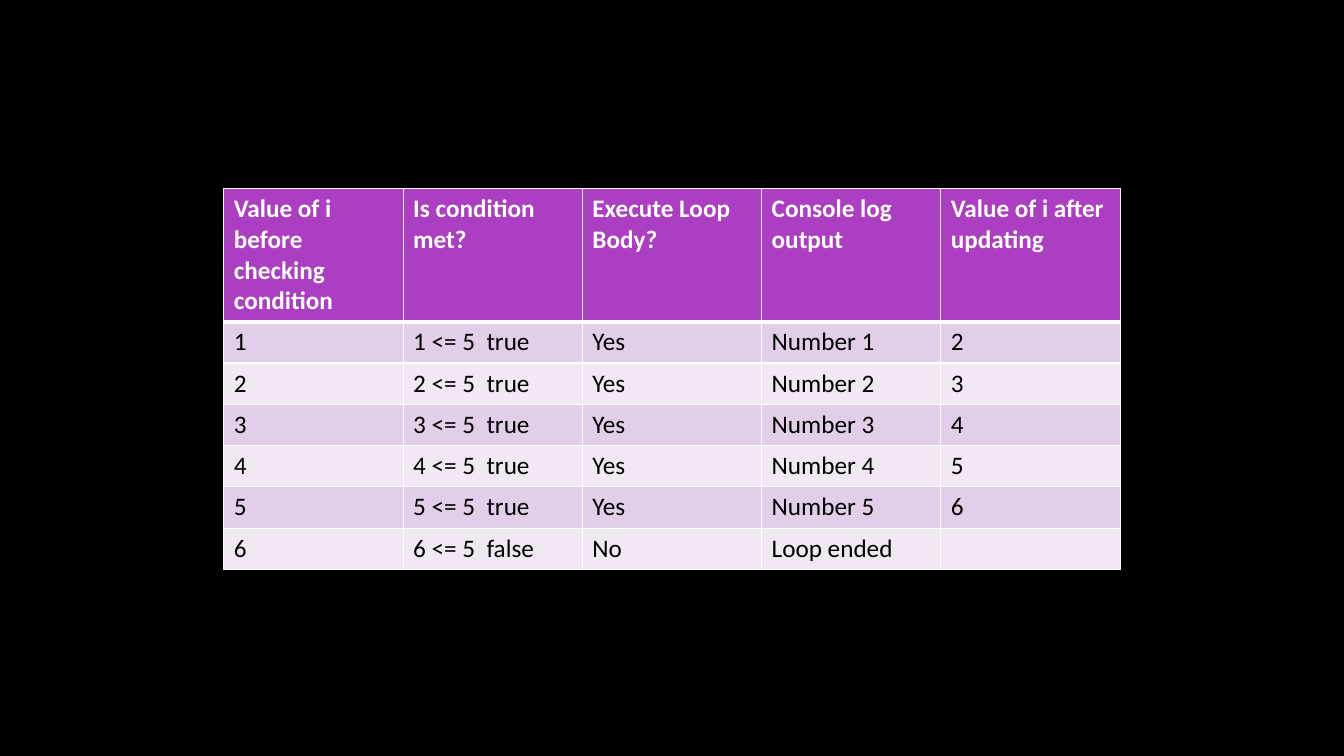
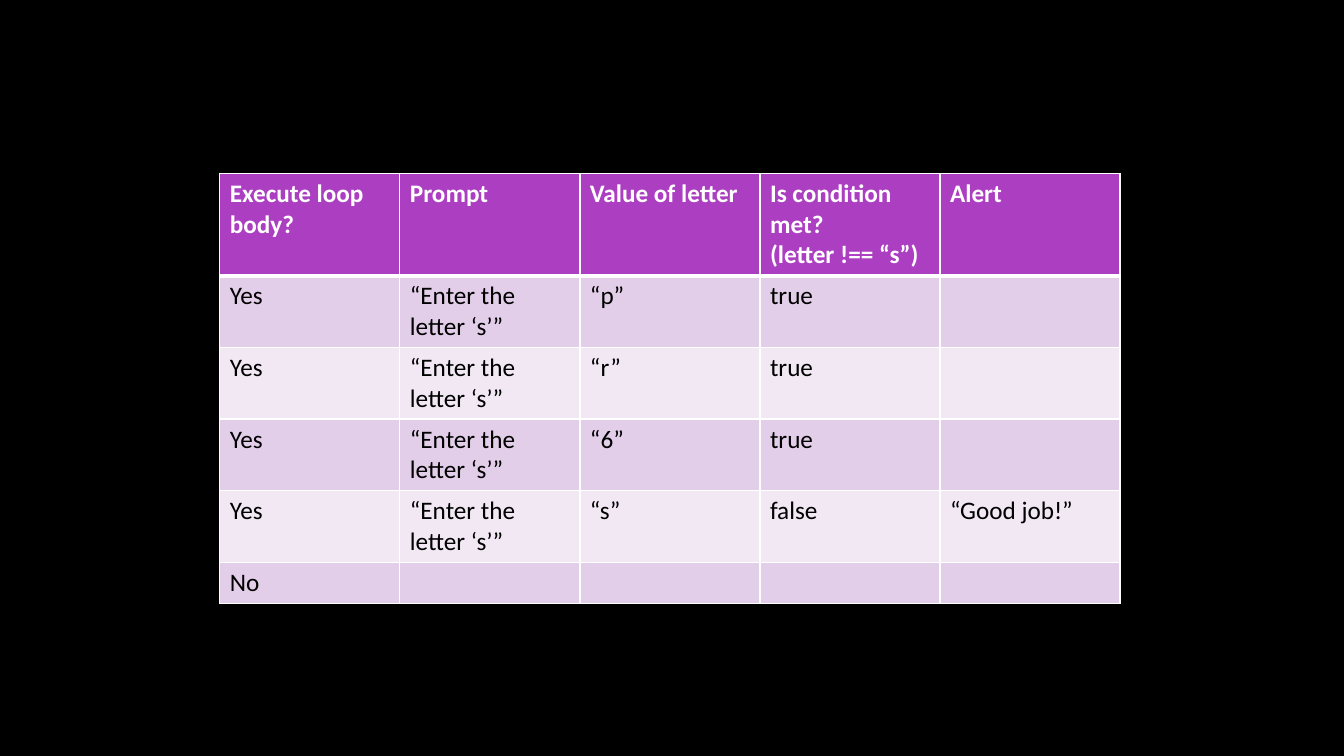
from dataclasses import dataclass

from lxml.etree import SubElement
from pptx import Presentation
from pptx.dml.color import RGBColor
from pptx.oxml.ns import qn
from pptx.util import Inches, Pt


@dataclass(frozen=True)
class Theme:
    background: str = "000000"
    header_fill: str = "AC3EC1"
    band_fills: tuple = ("E3CEE9", "F1E8F4")
    header_text: str = "FFFFFF"
    body_text: str = "000000"
    border: str = "FFFFFF"
    thin_line: float = 1
    thick_line: float = 3
    font_name: str = "Calibri"
    font_size: float = 18


THEME = Theme()
BLANK_LAYOUT = 6
LINE_HEIGHT = 0.41

# Loop trace: counter runs from 1 until it passes the limit
LIMIT = 5
FOR_LOOP_ROWS = [
    ("Value of i before checking condition", "Is condition met?",
     "Execute Loop Body?", "Console log output", "Value of i after updating"),
    *((str(i), f"{i} <= {LIMIT}  true", "Yes", f"Number {i}", str(i + 1))
      for i in range(1, LIMIT + 1)),
    (str(LIMIT + 1), f"{LIMIT + 1} <= {LIMIT}  false", "No", "Loop ended", ""),
]

# Prompt trace: the question repeats until the letter is "s"
PROMPT = "“Enter the letter ‘s’”"
ANSWERS = [("“p”", "true", ""), ("“r”", "true", ""), ("“6”", "true", ""),
           ("“s”", "false", "“Good job!”")]
DO_WHILE_ROWS = [
    ("Execute loop body?", "Prompt", "Value of letter",
     "Is condition met?\n(letter !== “s”)", "Alert"),
    *(("Yes", PROMPT, *answer) for answer in ANSWERS),
    ("No", "", "", "", ""),
]


def set_borders(cell, top, bottom):
    """Draw the four cell borders; they must precede the fill in the XML."""
    properties = cell._tc.get_or_add_tcPr()
    widths = {"a:lnL": THEME.thin_line, "a:lnR": THEME.thin_line,
              "a:lnT": top, "a:lnB": bottom}
    for position, (tag, width) in enumerate(widths.items()):
        line = SubElement(properties, qn(tag), w=str(Pt(width)))
        solid_fill = SubElement(line, qn("a:solidFill"))
        SubElement(solid_fill, qn("a:srgbClr"), val=THEME.border)
        properties.insert(position, line)


def format_cell(cell, text, row_index):
    is_header = row_index == 0
    fill = (THEME.header_fill if is_header
            else THEME.band_fills[(row_index - 1) % len(THEME.band_fills)])
    cell.fill.solid()
    cell.fill.fore_color.rgb = RGBColor.from_string(fill)
    # The thick rule sits between the header and the first body row
    set_borders(cell,
                top=THEME.thick_line if row_index == 1 else THEME.thin_line,
                bottom=THEME.thick_line if is_header else THEME.thin_line)

    cell.text = text
    color = THEME.header_text if is_header else THEME.body_text
    for paragraph in cell.text_frame.paragraphs:
        paragraph.font.name = THEME.font_name
        paragraph.font.size = Pt(THEME.font_size)
        paragraph.font.bold = is_header
        paragraph.font.color.rgb = RGBColor.from_string(color)


def add_trace_table(slide, left, top, width, rows, row_heights):
    column_count = len(rows[0])
    table = slide.shapes.add_table(
        len(rows), column_count, Inches(left), Inches(top),
        Inches(width), Inches(sum(row_heights))).table
    for column in table.columns:
        column.width = Inches(width / column_count)
    for row_index, (texts, height) in enumerate(zip(rows, row_heights)):
        table.rows[row_index].height = Inches(height)
        for column_index, text in enumerate(texts):
            format_cell(table.cell(row_index, column_index), text, row_index)


def add_trace_slide(presentation, left, top, width, rows, row_heights):
    slide = presentation.slides.add_slide(
        presentation.slide_layouts[BLANK_LAYOUT])
    add_trace_table(slide, left, top, width, rows, row_heights)


def main():
    presentation = Presentation()
    presentation.slide_width = Inches(13.33)
    presentation.slide_height = Inches(7.5)

    # Shared black background
    background_fill = presentation.slide_master.background.fill
    background_fill.solid()
    background_fill.fore_color.rgb = RGBColor.from_string(THEME.background)

    add_trace_slide(presentation, 2.22, 1.87, 8.89, FOR_LOOP_ROWS,
                    [1.31] + [LINE_HEIGHT] * (LIMIT + 1))
    add_trace_slide(presentation, 2.18, 1.72, 8.93, DO_WHILE_ROWS,
                    [1] + [0.7] * len(ANSWERS) + [LINE_HEIGHT])

    presentation.save("out.pptx")


if __name__ == "__main__":
    main()
